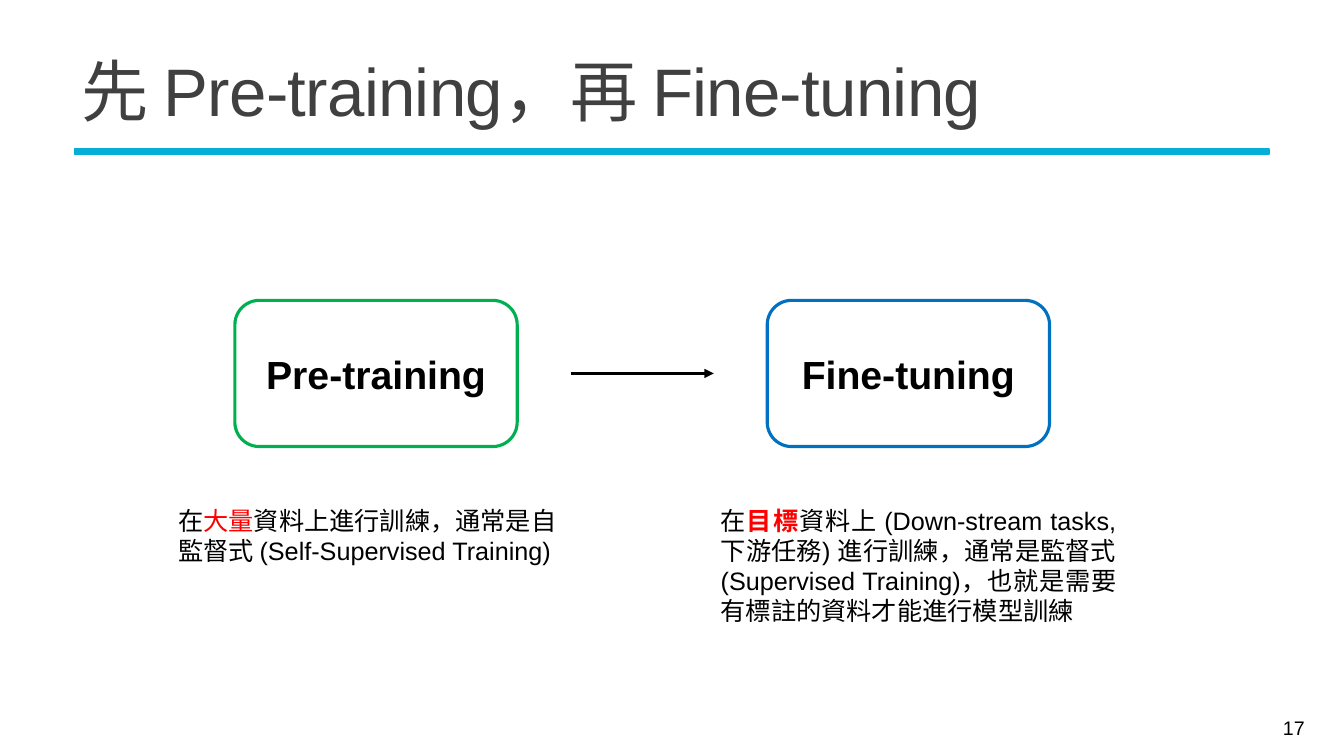
"""Build a slide on pre-training followed by fine-tuning."""
import pptx
import pptx.util
import pptx.dml.color
import pptx.enum.shapes
import pptx.enum.text
import pptx.oxml
import pptx.oxml.ns

Inches, Pt = pptx.util.Inches, pptx.util.Pt
RGB = pptx.dml.color.RGBColor
Align = pptx.enum.text.PP_ALIGN
Anchor = pptx.enum.text.MSO_ANCHOR
Kind = pptx.enum.shapes.MSO_SHAPE

BLACK, GREY = RGB(0, 0, 0), RGB(0x40, 0x40, 0x40)
RED, CYAN = RGB(0xFF, 0, 0), RGB(0x05, 0xAE, 0xD6)
GREEN, BLUE = RGB(0, 0xB0, 0x50), RGB(0, 0x70, 0xC0)
LATIN, HAN = "Arial", "Noto Sans CJK TC"

WIDE, HIGH = 13.33, 7.5
TITLE = [("先", HAN), (" Pre-training，", LATIN), ("再 ", HAN), ("Fine-tuning", LATIN)]
PAGE = "17"
STEPS = [
    ("Pre-training", GREEN, 1.67, Align.LEFT, False,
     ("在", "大量", "資料上進行訓練，通常是自監督式 (Self-Supervised Training)"), 0.71),
    ("Fine-tuning", BLUE, 7.05, Align.JUSTIFY, True,
     ("在", "目標", "資料上 (Down-stream tasks, 下游任務) 進行訓練，通常是監督式 "
      "(Supervised Training)，也就是需要有標註的資料才能進行模型訓練"), 1.31),
]
BOX_X, BOX_Y, BOX_W, BOX_H, STEP = 2.33, 2.98, 2.8, 1.45, 5.28
NOTE_Y, NOTE_W, GAP = 4.96, 4.12, 0.53


def tag(parent, text):
    node = pptx.oxml.parse_xml(
        text.replace("/>", f' {pptx.oxml.ns.nsdecls("a")}/>'))
    parent.append(node)


def style(font, size, color, face=LATIN, bold=None):
    font.size, font.name, font.bold = Pt(size), face, bold
    font.color.rgb = color
    tag(font._element, f'<a:ea typeface="{HAN}"/>')


def write(slide, left, top, width, height, anchor=Anchor.TOP):
    box = slide.shapes.add_textbox(*map(Inches, (left, top, width, height)))
    frame = box.text_frame
    frame.word_wrap, frame.vertical_anchor = True, anchor
    return frame.paragraphs[0]


def draw(slide, kind, left, top, width, height, color, line):
    shape = slide.shapes.add_shape(kind, *map(Inches, (left, top, width, height)))
    shape.shadow.inherit = False
    shape.fill.background()
    shape.line.color.rgb, shape.line.width = color, Pt(line)
    return shape


def head(slide):
    rule = draw(slide, Kind.RECTANGLE, 0.74, 1.48, 11.85, 0.05, CYAN, 1.25)
    rule.fill.solid()
    rule.fill.fore_color.rgb = CYAN
    para = write(slide, 0.71, 0.39, 11.94, 1.13, Anchor.MIDDLE)
    para.line_spacing = 0.85
    for text, face in TITLE:
        run = para.add_run()
        run.text = text
        style(run.font, 48, GREY, face)
        run.font._element.set("spc", "-50")


def block(slide, index, step):
    name, color, left, align, bold, parts, height = step
    box = draw(slide, Kind.ROUNDED_RECTANGLE, BOX_X + index * STEP, BOX_Y,
               BOX_W, BOX_H, color, 2.25)
    frame = box.text_frame
    frame.vertical_anchor = Anchor.MIDDLE
    para = frame.paragraphs[0]
    para.text, para.alignment = name, Align.CENTER
    style(para.font, 28, BLACK, bold=True)
    note = write(slide, left, NOTE_Y, NOTE_W, height)
    note.alignment = align
    for spot, text in enumerate(parts):
        run = note.add_run()
        run.text = text
        key = spot == 1
        style(run.font, 18, RED if key else BLACK, bold=key and bold)


def arrow(slide):
    mid = BOX_Y + BOX_H / 2
    ends = BOX_X + BOX_W + GAP, mid, BOX_X + STEP - GAP, mid
    line = slide.shapes.add_connector(
        pptx.enum.shapes.MSO_CONNECTOR.STRAIGHT, *map(Inches, ends))
    line.line.color.rgb, line.line.width = BLACK, Pt(2.25)
    tag(line.line._get_or_add_ln(), '<a:tailEnd type="triangle"/>')
    tag(line._element.spPr, "<a:effectLst/>")


def main():
    deck = pptx.Presentation()
    deck.slide_width, deck.slide_height = Inches(WIDE), Inches(HIGH)
    slide = deck.slides.add_slide(deck.slide_layouts[6])
    head(slide)
    for index, step in enumerate(STEPS):
        block(slide, index, step)
    arrow(slide)
    page = write(slide, 11.61, 7.02, 1.43, 0.4, Anchor.MIDDLE)
    page.text, page.alignment = PAGE, Align.RIGHT
    style(page.font, 14, BLACK)
    deck.save("out.pptx")


if __name__ == "__main__":
    main()
